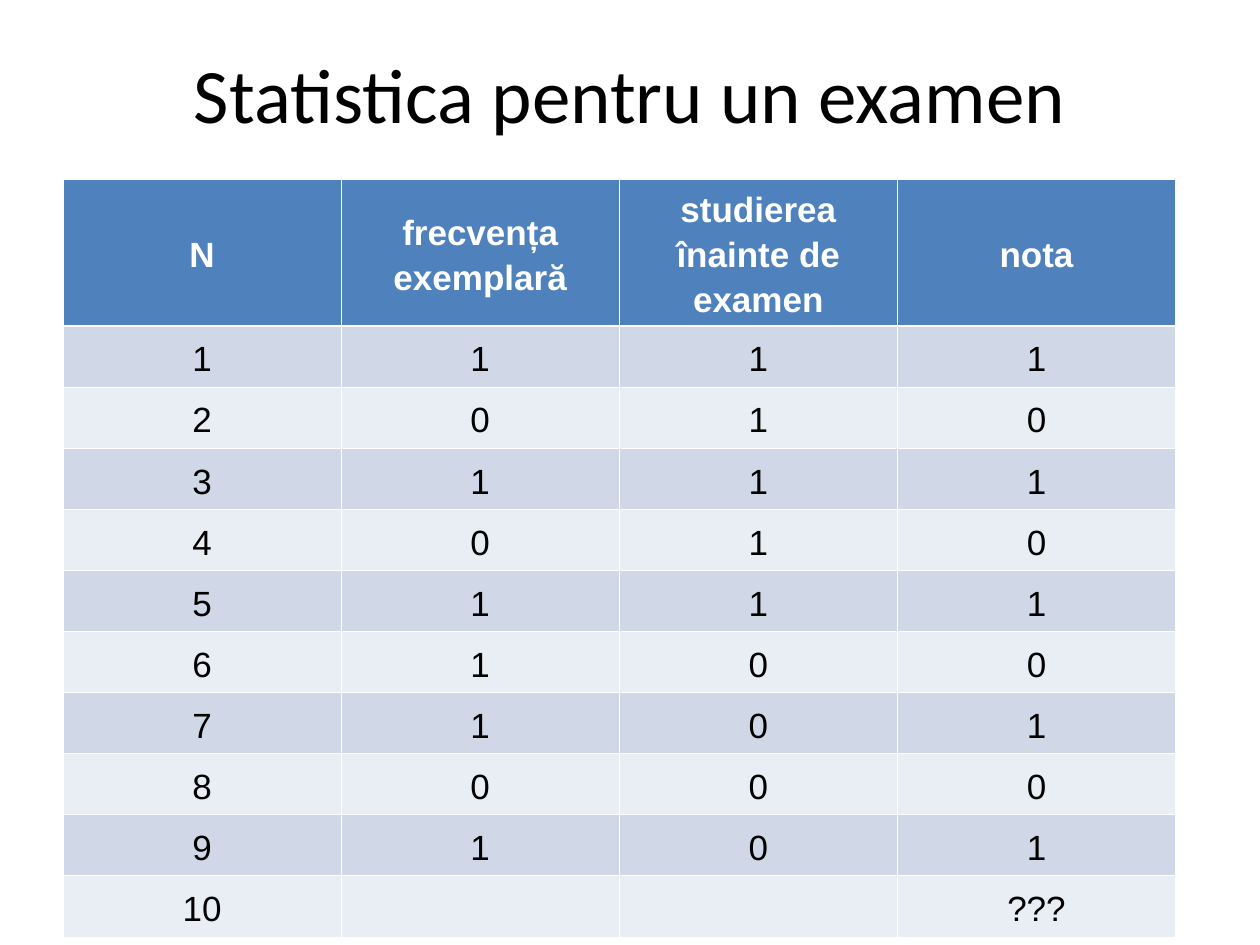
"""Build a slide with a table of exam statistics."""
from lxml import etree
from pptx import Presentation
from pptx import util as u
from pptx.dml import color
from pptx.enum import text
from pptx.oxml import ns

COLORS = {"header": "4F81BD", "odd": "D0D8E8", "even": "E9EDF4",
          "white": "FFFFFF", "black": "000000"}
ROWS = [
    ("N", "frecvența exemplară", "studierea înainte de examen", "nota"),
    ("1", "1", "1", "1"),
    ("2", "0", "1", "0"),
    ("3", "1", "1", "1"),
    ("4", "0", "1", "0"),
    ("5", "1", "1", "1"),
    ("6", "1", "0", "0"),
    ("7", "1", "0", "1"),
    ("8", "0", "0", "0"),
    ("9", "1", "0", "1"),
    ("10", "", "", "???"),
]
HEADER_HEIGHT, ROW_HEIGHT = 1.16, 0.485


def add_run(p, words, font, size, key, bold=False):
    p.alignment = text.PP_ALIGN.CENTER
    r = p.add_run()
    r.text = words
    r.font.name = font
    r.font.size = u.Pt(size)
    r.font.bold = bold
    r.font.color.rgb = color.RGBColor.from_string(COLORS[key])


def add_border(cell, side, width):
    ln = etree.SubElement(cell._tc.get_or_add_tcPr(), ns.qn(f"a:{side}"), w=str(u.Pt(width)))
    fill = etree.SubElement(ln, ns.qn("a:solidFill"))
    etree.SubElement(fill, ns.qn("a:srgbClr"), val=COLORS["white"])


prs = Presentation()
prs.slide_width, prs.slide_height = u.Inches(10), u.Inches(7.5)
s = prs.slides.add_slide(prs.slide_layouts[5])

title = s.shapes.title
title.left, title.top = u.Inches(0.5), u.Inches(0.3)
title.width, title.height = u.Inches(9), u.Inches(0.87)
title.text_frame.vertical_anchor = text.MSO_ANCHOR.MIDDLE
add_run(title.text_frame.paragraphs[0], "Statistica pentru un examen", "Calibri", 44, "black")

height = HEADER_HEIGHT + ROW_HEIGHT * (len(ROWS) - 1)
table = s.shapes.add_table(len(ROWS), len(ROWS[0]), u.Inches(0.5), u.Inches(1.42),
                           u.Inches(8.83), u.Inches(height)).table

for i, row in enumerate(ROWS):
    header = i == 0
    table.rows[i].height = u.Inches(HEADER_HEIGHT if header else ROW_HEIGHT)
    band = "header" if header else "odd" if i % 2 else "even"
    for j, words in enumerate(row):
        cell = table.cell(i, j)
        cell.vertical_anchor = text.MSO_ANCHOR.MIDDLE
        cell.margin_left = cell.margin_right = u.Inches(0.08)
        cell.margin_top = cell.margin_bottom = u.Inches(0.05)
        add_border(cell, "lnL", 0.45)
        add_border(cell, "lnR", 0.45)
        add_border(cell, "lnT", 1.47 if i == 1 else 0.45)
        add_border(cell, "lnB", 1.47 if header else 0.45)
        cell.fill.solid()
        cell.fill.fore_color.rgb = color.RGBColor.from_string(COLORS[band])
        if words:
            p = cell.text_frame.paragraphs[0]
            p.line_spacing = 1.15
            p.space_after = u.Pt(10)
            add_run(p, words, "Arial", 20, "white" if header else "black", header)

prs.save("out.pptx")
